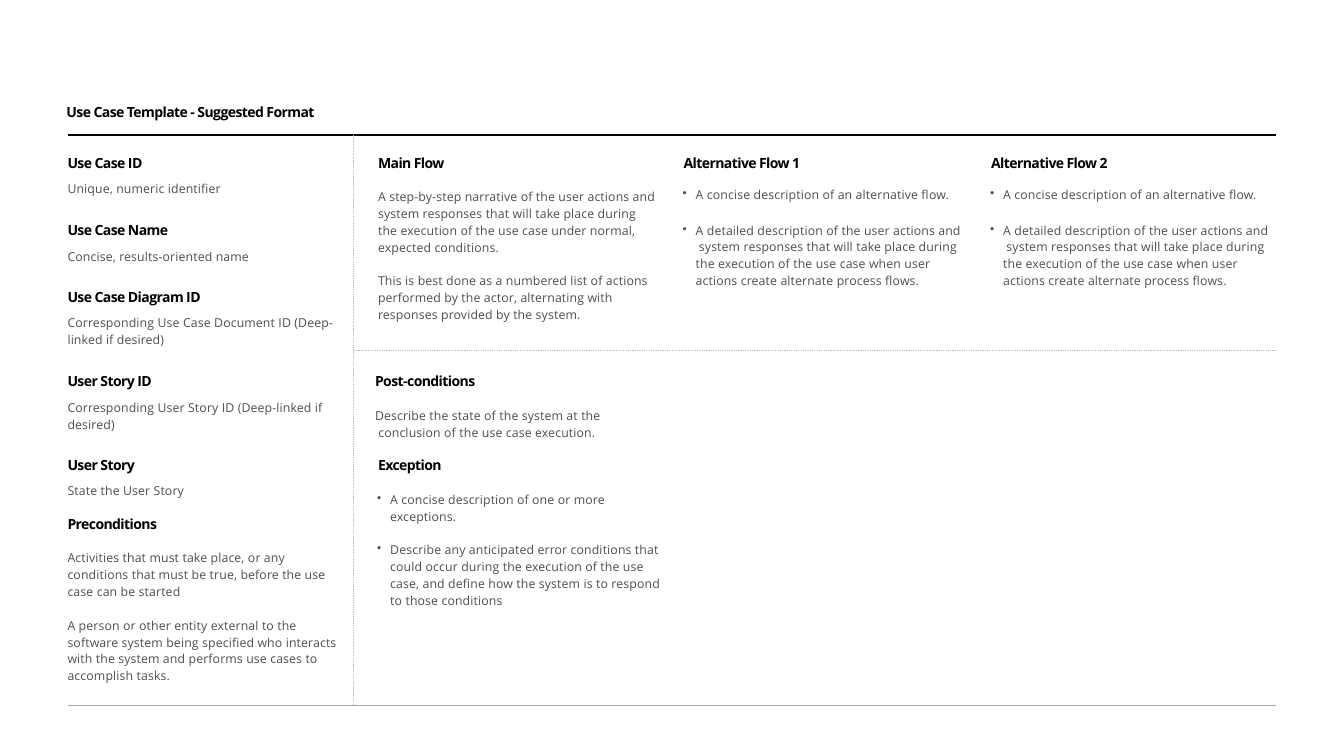
from lxml import etree
from pptx import Presentation, util as u
from pptx.dml.color import RGBColor
from pptx.enum import dml, shapes, text
from pptx.oxml.ns import qn

FONT = "Open Sans"
BLACK, GREY, DOTTED, FOOT = "000000", "4B4F51", "B4B5B7", "A7A8AA"

FIELDS = [
    (1.52, 2.69, 0.42, "Use Case ID", "Unique, numeric identifier"),
    (2.19, 2.69, 0.42, "Use Case Name", "Concise, results-oriented name"),
    (2.85, 2.69, 0.59, "Use Case Diagram ID",
     "Corresponding Use Case Document ID (Deep-  linked if desired)"),
    (3.69, 2.58, 0.59, "User Story ID",
     "Corresponding User Story ID (Deep-linked if  desired)"),
    (4.52, 2.69, 0.42, "User Story", "State the User Story"),
]


def rgb(value):
    return RGBColor.from_string(value)


def add_paragraph(tf, content, size=8.8, color=GREY, bold=False, before=0.6,
                  spacing=1.14, tracking=0.1, bullet=False):
    p = tf.paragraphs[0] if not tf.text else tf.add_paragraph()
    p.space_before = u.Pt(before)
    p.line_spacing = spacing
    pPr = p._p.get_or_add_pPr()
    pPr.set("marL", str(u.Inches(0.13 if bullet else 0.01)))
    pPr.set("indent", str(u.Inches(-0.13 if bullet else 0)))
    if bullet:
        etree.SubElement(pPr, qn("a:buChar")).set("char", "•")
    r = p.add_run()
    r.text = content
    r.font.name, r.font.size, r.font.bold = FONT, u.Pt(size), bold
    r.font.color.rgb = rgb(color)
    r._r.get_or_add_rPr().set("spc", str(round(tracking * 100)))


def add_block(s, x, y, w, h, heading=None, body=None, gap=5.8, bullet=False):
    sp = s.shapes.add_textbox(*map(u.Inches, (x, y, w, h)))
    tf = sp.text_frame
    tf.word_wrap = True
    tf.auto_size = text.MSO_AUTO_SIZE.NONE
    tf.margin_left = tf.margin_right = tf.margin_bottom = 0
    tf.margin_top = u.Inches(0.01)
    if heading:
        add_paragraph(tf, heading, size=10, color=BLACK, bold=True,
                      spacing=1, tracking=-0.4)
    if body:
        add_paragraph(tf, body, before=gap if heading else 0.6, bullet=bullet)


def add_rule(s, x1, y1, x2, y2, color, dotted=False):
    line = s.shapes.add_connector(shapes.MSO_CONNECTOR.STRAIGHT,
                                  *map(u.Inches, (x1, y1, x2, y2)))
    line.line.color.rgb = rgb(color)
    line.line.width = u.Pt(0.82)
    if dotted:
        line.line.dash_style = dml.MSO_LINE.ROUND_DOT
    etree.SubElement(line._element.spPr, qn("a:effectLst"))


def add_frame(s, left, top, right, bottom, split_x, split_y):
    add_rule(s, left, top, right, top, BLACK)
    add_rule(s, left, bottom, right, bottom, FOOT)
    add_rule(s, split_x, top, split_x, bottom, DOTTED, dotted=True)
    add_rule(s, split_x, split_y, right, split_y, DOTTED, dotted=True)


def add_sidebar(s, x):
    for y, w, h, heading, body in FIELDS:
        add_block(s, x, y, w, h, heading, body)
    add_block(s, x, 5.1, 2.61, 0.18, "Preconditions")
    add_block(s, x, 5.43, 2.61, 0.5,
              body="Activities that must take place, or any  conditions that "
                   "must be true, before the use  case can be started")
    add_block(s, x, 6.1, 2.72, 0.67,
              body="A person or other entity external to the  software system "
                   "being specified who interacts  with the system and performs "
                   "use cases to  accomplish tasks.")


def add_main_flow(s, x, y):
    add_block(s, x, y, 2.8, 1.01, "Main Flow",
              "A step-by-step narrative of the user actions and  system "
              "responses that will take place during  the execution of the use "
              "case under normal,  expected conditions.", gap=11.8)
    add_block(s, x, y + 1.16, 2.73, 0.5,
              body="This is best done as a numbered list of actions  performed "
                   "by the actor, alternating with  responses provided by the "
                   "system.")


def add_alternative_flow(s, x, y, number):
    add_block(s, x, y, 2.69, 0.49, f"Alternative Flow {number}",
              "A concise description of an alternative flow.",
              gap=10.2, bullet=True)
    add_block(s, x, y + 0.66, 2.8, 0.67, bullet=True,
              body="A detailed description of the user actions and  system "
                   "responses that will take place during  the execution of the "
                   "use case when user  actions create alternate process flows.")


def add_outcomes(s, x, y):
    add_block(s, x - 0.03, y, 2.28, 0.67, "Post-conditions",
              "Describe the state of the system at the  conclusion of the use "
              "case execution.", gap=11.8)
    add_block(s, x, y + 0.83, 2.3, 0.67, "Exception",
              "A concise description of one or more  exceptions.",
              gap=11.8, bullet=True)
    add_block(s, x, y + 1.66, 2.85, 0.67, bullet=True,
              body="Describe any anticipated error conditions that  could occur "
                   "during the execution of the use  case, and define how the "
                   "system is to respond  to those conditions")


def main():
    prs = Presentation()
    prs.slide_width, prs.slide_height = u.Inches(13.33), u.Inches(7.5)
    s = prs.slides.add_slide(prs.slide_layouts[6])
    add_block(s, 0.65, 1.02, 2.64, 0.18, "Use Case Template - Suggested Format")
    add_frame(s, 0.67, 1.34, 12.66, 7, split_x=3.51, split_y=3.48)
    add_sidebar(s, 0.66)
    add_main_flow(s, 3.74, 1.52)
    for number, x in enumerate((6.77, 9.82), start=1):
        add_alternative_flow(s, x, 1.52, number)
    add_outcomes(s, 3.74, 3.69)
    prs.save("out.pptx")


if __name__ == "__main__":
    main()
